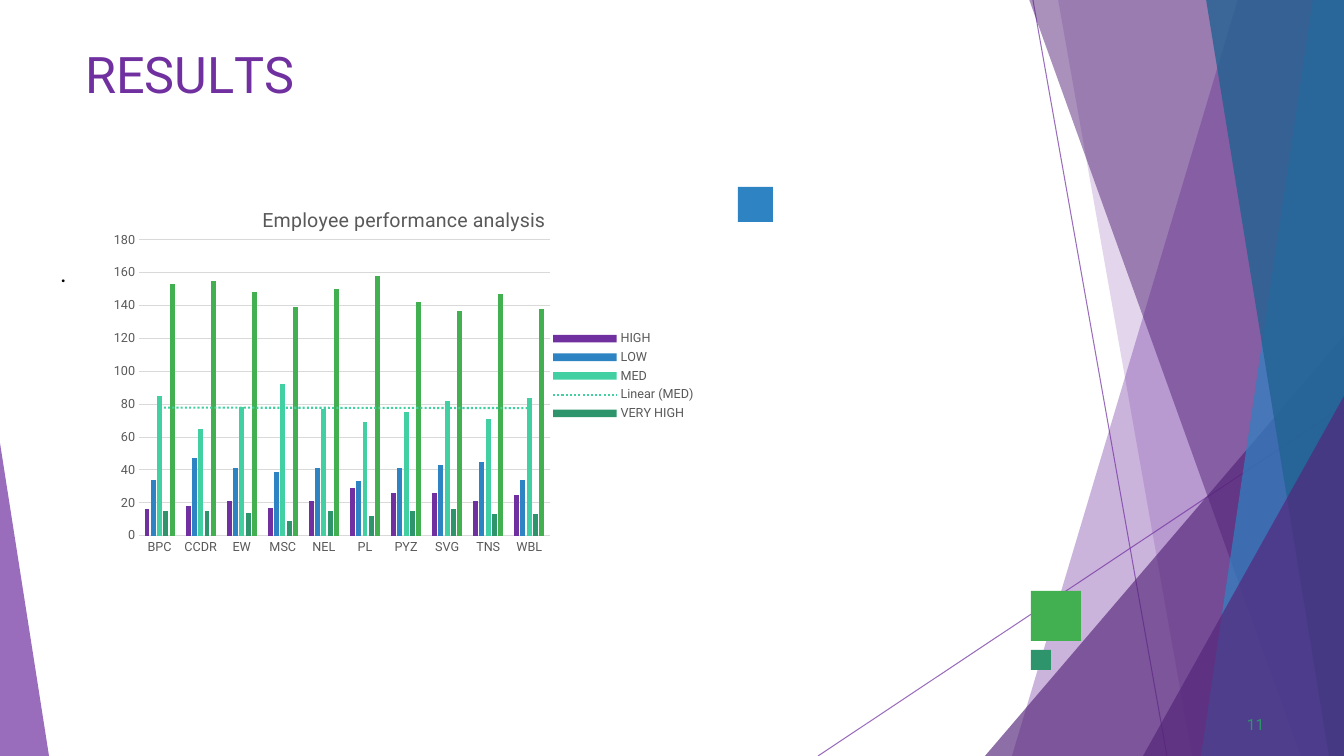
"""Build the results slide: employee performance chart on a faceted purple backdrop."""
from dataclasses import dataclass
from lxml.etree import SubElement
from pptx import Presentation
from pptx.chart.data import CategoryChartData as ChartData
from pptx.dml.color import RGBColor as RGB
from pptx.enum.chart import XL_CHART_TYPE as Kind, XL_LEGEND_POSITION as Side, XL_TICK_MARK as Tick
from pptx.enum.shapes import MSO_CONNECTOR as Wire, MSO_SHAPE as Form
from pptx.enum.text import MSO_ANCHOR as Anchor, PP_ALIGN as Align
from pptx.oxml import parse_xml
from pptx.oxml.ns import nsdecls, qn
from pptx.util import Pt


@dataclass(frozen=True)
class Theme:
    font: str = "Roboto"
    main: str = "7030A0"
    deep: str = "542478"
    blue: str = "2E83C3"
    navy: str = "226292"
    mint: str = "42D0A2"
    teal: str = "2E946B"
    leaf: str = "42B051"
    ink: str = "000000"
    gray: str = "595959"
    rule: str = "D9D9D9"
    head: int = 36
    body: int = 18
    name: int = 14
    page: int = 11
    base: int = 10
    tick: int = 9


T = Theme()
PX = 914400 / 100.8
WIDE, HIGH = 1344, 756

LINES = [(1033, 0, 1167, HIGH), (WIDE, 406, 818, HIGH)]
FACETS = [
    ("band", (1238, WIDE, WIDE, 1012), T.main, 36),
    ("band", (1058, WIDE, WIDE, 1192), T.main, 20),
    ("peak", (985, 336, 359, 420, 1), T.deep, 66),
    ("band", (1029, WIDE, WIDE, 1301), T.deep, 50),
    ("band", (1313, WIDE, WIDE, 1201), T.blue, 70),
    ("band", (1206, WIDE, WIDE, 1329), T.navy, 80),
    ("peak", (1143, 396, 201, 360, 1), T.deep, 66),
    ("peak", (0, 443, 49, 313, 0), T.main, 70),
]
SQUARES = [
    ((1031, 591, 50, 50), T.leaf),
    ((738, 187, 35, 35), T.blue),
    ((1031, 650, 20, 20), T.teal),
]
TITLE = [("R", 0), ("E", -40), ("S", 10), ("U", -30), ("L", -400), ("TS", 0)]
TEXTS = [
    ((1243, 714, 25, 21), "11", T.page, T.teal, (4, 1, 0, 0)),
    ((50, 252, 663, 72), ".", T.body, T.ink, (10, 5, 10, 5)),
]
NAME = "Employee performance analysis"
UNITS = ["BPC", "CCDR", "EW", "MSC", "NEL", "PL", "PYZ", "SVG", "TNS", "WBL"]
SERIES = [
    ("HIGH", T.main, (16, 18, 21, 17, 21, 29, 26, 26, 21, 25)),
    ("LOW", T.blue, (34, 47, 41, 39, 41, 33, 41, 43, 45, 34)),
    ("MED", T.mint, (85, 65, 78, 92, 77, 69, 75, 82, 71, 84)),
    ("VERY HIGH", T.teal, (15, 15, 14, 9, 15, 12, 15, 16, 13, 13)),
    ("Series 5", T.leaf, (153, 155, 148, 139, 150, 158, 142, 137, 147, 138)),
]
CHART = (101, 187, 605, 378)
PLOT = (139, 240, 411, 296)
HEAD = (259, 203)


def px(*vals):
    return [round(v * PX) for v in vals]


def put(item, **vals):
    for key, val in vals.items():
        setattr(item, key, val)


def style(font, size, color):
    put(font, name=T.font, size=Pt(size), bold=False)
    font.color.rgb = RGB.from_string(color)


def fade(shape, alpha):
    for color in shape.element.spPr.iter(qn("a:srgbClr")):
        SubElement(color, qn("a:alpha"), val=str(alpha * 1000))


def paint(shape, color, alpha=100):
    shape.shadow.inherit = False
    shape.fill.solid()
    shape.fill.fore_color.rgb = RGB.from_string(color)
    shape.line.fill.background()
    if alpha < 100:
        fade(shape, alpha)


def stroke(line, color, width=0.75):
    line.color.rgb = RGB.from_string(color)
    line.width = Pt(width)


def frame(box, pads):
    keys = ("margin_left", "margin_top", "margin_right", "margin_bottom")
    put(box, word_wrap=True, vertical_anchor=Anchor.TOP, **dict(zip(keys, px(*pads))))


def draw_back(shapes):
    for ends in LINES:
        line = shapes.add_connector(Wire.STRAIGHT, *px(*ends))
        stroke(line.line, T.main)
        fade(line, 70)
        SubElement(line.element.spPr, qn("a:effectLst"))
    for kind, spots, color, alpha in FACETS:
        if kind == "band":
            pts = list(zip(spots, (-1, -1, HIGH, HIGH)))
            pen = shapes.build_freeform(*pts[0], scale=PX)
            pen.add_line_segments(pts[1:], close=True)
            part = pen.convert_to_shape()
        else:
            part = shapes.add_shape(Form.ISOSCELES_TRIANGLE, *px(*spots[:4]))
            part.adjustments[0] = spots[4]
        paint(part, color, alpha)
    for box, color in SQUARES:
        paint(shapes.add_shape(Form.RECTANGLE, *px(*box)), color)


def draw_text(shapes):
    title = shapes.title
    put(title, **dict(zip(("left", "top", "width", "height"), px(84, 42, 269, 84))))
    frame(title.text_frame, (1, 1, 0, 0))
    para = title.text_frame.paragraphs[0]
    put(para, alignment=Align.LEFT, space_before=Pt(1.1))
    for text, gap in TITLE:
        run = para.add_run()
        run.text = text
        style(run.font, T.head, T.main)
        run.font.element.set("spc", str(gap)) if hasattr(run.font, "element") else \
            run._r.get_or_add_rPr().set("spc", str(gap))
    for box, text, size, color, pads in TEXTS:
        area = shapes.add_textbox(*px(*box)).text_frame
        frame(area, pads)
        run = area.paragraphs[0].add_run()
        run.text = text
        style(run.font, size, color)


def place(node, index, spot, inner=False):
    for old in node.findall(qn("c:layout")):
        node.remove(old)
    left, top, wide, high = CHART
    vals = [(spot[0] - left) / wide, (spot[1] - top) / high]
    vals += [n / d for n, d in zip(spot[2:], (wide, high))]
    tags = [("layoutTarget", "inner")] if inner else []
    tags += [("xMode", "edge"), ("yMode", "edge")]
    tags += [(k, f"{v:.3f}") for k, v in zip("xywh", vals)]
    body = "".join(f'<c:{k} val="{v}"/>' for k, v in tags)
    node.insert(index, parse_xml(
        f'<c:layout {nsdecls("c")}><c:manualLayout>{body}</c:manualLayout></c:layout>'))


def draw_chart(shapes):
    data = ChartData()
    data.categories = UNITS
    for name, _, vals in SERIES:
        data.add_series(name, vals)
    chart = shapes.add_chart(Kind.COLUMN_CLUSTERED, *px(*CHART), data).chart
    style(chart.font, T.base, T.ink)
    put(chart, has_title=True, has_legend=True)
    para = chart.chart_title.text_frame.paragraphs[0]
    run = para.add_run()
    run.text = NAME
    style(run.font, T.name, T.gray)
    put(chart.legend, position=Side.RIGHT, include_in_layout=False)
    style(chart.legend.font, T.tick, T.gray)
    for axis in (chart.category_axis, chart.value_axis):
        put(axis, major_tick_mark=Tick.NONE, minor_tick_mark=Tick.NONE)
        style(axis.tick_labels.font, T.tick, T.gray)
    stroke(chart.category_axis.format.line, T.rule)
    put(chart.value_axis, minimum_scale=0, maximum_scale=180, major_unit=20)
    chart.value_axis.format.line.fill.background()
    stroke(chart.value_axis.major_gridlines.format.line, T.rule)
    plot = chart.plots[0]
    put(plot, gap_width=219, overlap=-27, vary_by_categories=False)
    for bars, (_, color, _) in zip(plot.series, SERIES):
        bars.format.fill.solid()
        bars.format.fill.fore_color.rgb = RGB.from_string(color)
    root = chart.element
    root.findall(f".//{qn('c:ser')}")[2].find(qn("c:cat")).addprevious(parse_xml(
        f'<c:trendline {nsdecls("c", "a")}><c:spPr><a:ln w="{Pt(1.5)}"><a:solidFill>'
        f'<a:srgbClr val="{T.mint}"/></a:solidFill><a:prstDash val="sysDot"/></a:ln></c:spPr>'
        '<c:trendlineType val="linear"/><c:dispRSqr val="0"/><c:dispEq val="0"/></c:trendline>'))
    root.find(f".//{qn('c:legendPos')}").addnext(parse_xml(
        f'<c:legendEntry {nsdecls("c")}><c:idx val="4"/><c:delete val="1"/></c:legendEntry>'))
    place(root.find(f".//{qn('c:plotArea')}"), 0, PLOT, True)
    place(root.find(f".//{qn('c:title')}"), 1, HEAD)


def main():
    deck = Presentation()
    put(deck, **dict(zip(("slide_width", "slide_height"), px(WIDE, HIGH))))
    shapes = deck.slides.add_slide(deck.slide_layouts[5]).shapes
    draw_back(shapes)
    draw_text(shapes)
    draw_chart(shapes)
    deck.save("out.pptx")


if __name__ == "__main__":
    main()
